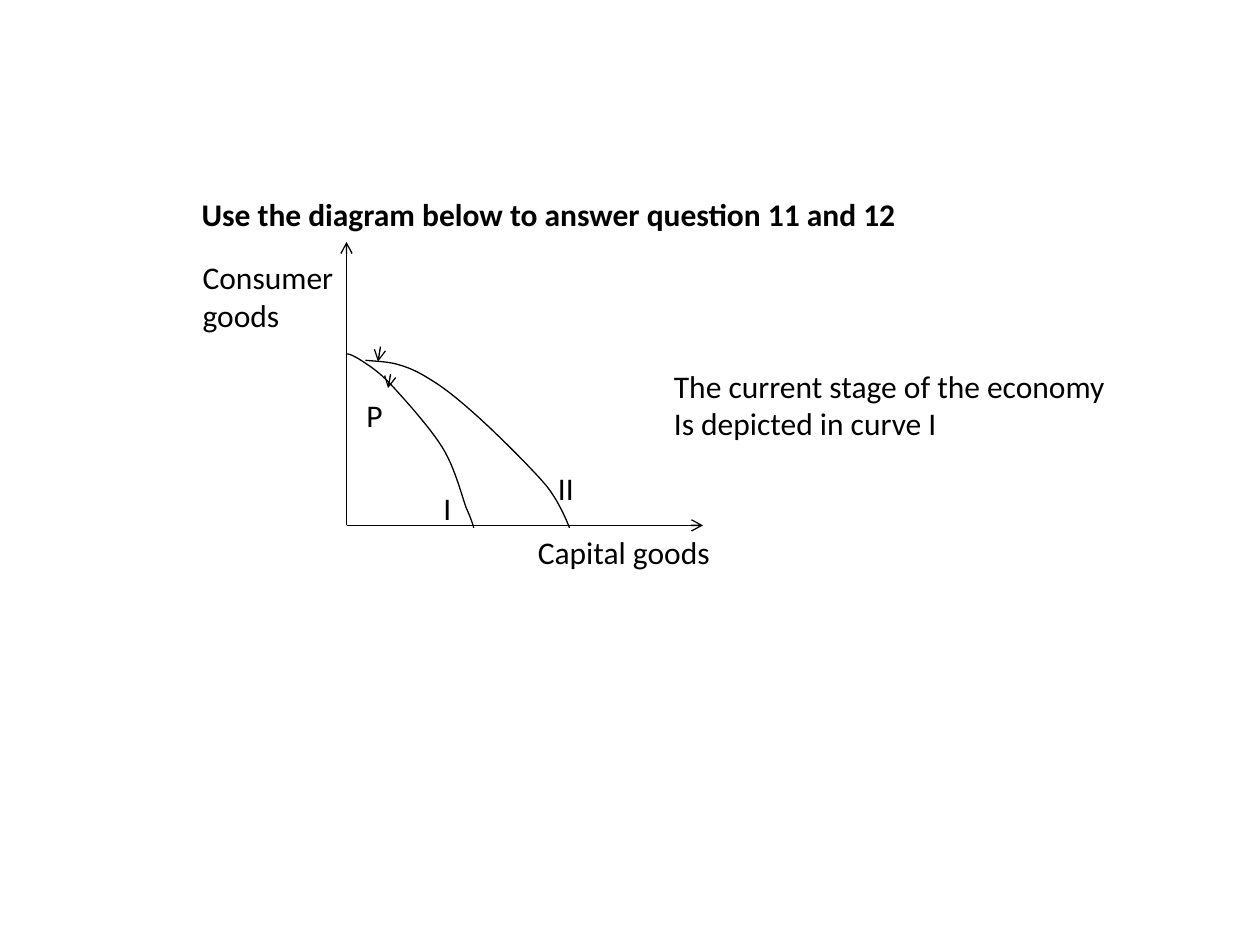
from typing import NamedTuple

from lxml.etree import SubElement
from pptx import Presentation
from pptx.dml.color import RGBColor
from pptx.enum.shapes import MSO_CONNECTOR as Connector
from pptx.enum.text import MSO_ANCHOR as Anchor, MSO_AUTO_SIZE as AutoSize, PP_ALIGN as Align
from pptx.oxml.ns import qn
from pptx.util import Inches, Pt

BLACK = RGBColor(0, 0, 0)
LINE_WIDTH = Pt(0.75)
STEPS = 12

Point = tuple[float, float]


class Label(NamedTuple):
    text: str
    left: float
    top: float
    width: float
    height: float = 0.4
    wrap: bool = False


class Arrow(NamedTuple):
    start: Point
    end: Point


class Curve(NamedTuple):
    start: Point
    segments: list[tuple[Point, Point, Point]]


ORIGIN = (2.75, 4.17)
ARROWS = [
    Arrow(ORIGIN, (2.75, 1.92)),
    Arrow(ORIGIN, (5.58, 4.17)),
    Arrow((3.02, 2.75), (3, 2.87)),
    Arrow((3.1, 2.97), (3.08, 3.08)),
]
CURVES = [
    Curve((2.75, 2.81), [
        ((2.77, 2.81), (2.78, 2.81), (2.85, 2.85)),
        ((2.91, 2.89), (3, 2.94), (3.11, 3.06)),
        ((3.22, 3.18), (3.41, 3.39), (3.51, 3.55)),
        ((3.61, 3.71), (3.66, 3.92), (3.7, 4.03)),
        ((3.75, 4.14), (3.76, 4.19), (3.76, 4.19)),
    ]),
    Curve((2.9, 2.86), [
        ((3, 2.87), (3.09, 2.87), (3.18, 2.9)),
        ((3.28, 2.93), (3.35, 2.97), (3.46, 3.04)),
        ((3.58, 3.12), (3.71, 3.23), (3.86, 3.37)),
        ((4, 3.5), (4.23, 3.73), (4.34, 3.86)),
        ((4.45, 4), (4.52, 4.19), (4.52, 4.19)),
    ]),
]
HEADING = Label("Use the diagram below to answer question 11 and 12", 1.5, 1.5, 5.82)
LABELS = [
    Label("I", 3.42, 3.83, 0.27),
    Label("P", 2.81, 3.09, 0.33),
    Label("II", 4.33, 3.67, 0.33),
    Label("Capital goods", 4.17, 4.18, 1.62, wrap=True),
    Label("Consumer goods", 1.51, 2, 1.32, 0.71, wrap=True),
    Label("The current stage of the economy\nIs depicted in curve I", 5.25, 2.86, 3.72, 0.71),
]


def write_text(box, text: str, *, wrap: bool = False, bold: bool = False) -> None:
    frame = box.text_frame
    frame.text = text
    frame.word_wrap = wrap
    frame.auto_size = AutoSize.SHAPE_TO_FIT_TEXT
    frame.vertical_anchor = Anchor.TOP
    for para in frame.paragraphs:
        para.alignment = Align.LEFT
        for span in para.runs:
            span.font.name = "Calibri"
            span.font.size = Pt(18)
            span.font.bold = bold
            span.font.color.rgb = BLACK


def add_heading(slide, label: Label) -> None:
    title = slide.shapes.title
    title.left, title.top = Inches(label.left), Inches(label.top)
    title.width, title.height = Inches(label.width), Inches(label.height)
    write_text(title, label.text, bold=True)


def add_label(slide, label: Label) -> None:
    box = slide.shapes.add_textbox(
        Inches(label.left), Inches(label.top), Inches(label.width), Inches(label.height)
    )
    write_text(box, label.text, wrap=label.wrap)


def style_line(line) -> None:
    line.color.rgb = BLACK
    line.width = LINE_WIDTH


def add_arrow(slide, arrow: Arrow) -> None:
    ends = [Inches(value) for value in (*arrow.start, *arrow.end)]
    connector = slide.shapes.add_connector(Connector.STRAIGHT, *ends)
    style_line(connector.line)
    properties = connector._element.spPr
    SubElement(properties.find(qn("a:ln")), qn("a:tailEnd"), type="arrow")
    SubElement(properties, qn("a:effectLst"))


def bezier_point(points: tuple[Point, ...], t: float) -> Point:
    weights = ((1 - t) ** 3, 3 * t * (1 - t) ** 2, 3 * t**2 * (1 - t), t**3)
    x, y = (sum(w * p[axis] for w, p in zip(weights, points)) for axis in (0, 1))
    return x, y


def add_curve(slide, curve: Curve) -> None:
    vertices = []
    start = curve.start
    for segment in curve.segments:
        vertices += [bezier_point((start, *segment), step / STEPS) for step in range(1, STEPS + 1)]
        start = segment[-1]
    builder = slide.shapes.build_freeform(Inches(curve.start[0]), Inches(curve.start[1]))
    builder.add_line_segments([(Inches(x), Inches(y)) for x, y in vertices], close=False)
    shape = builder.convert_to_shape()
    shape.shadow.inherit = False
    shape.fill.background()
    style_line(shape.line)


def main() -> None:
    deck = Presentation()
    deck.slide_width, deck.slide_height = Inches(10), Inches(7.5)
    slide = deck.slides.add_slide(deck.slide_layouts[5])
    add_heading(slide, HEADING)
    for arrow in ARROWS:
        add_arrow(slide, arrow)
    for curve in CURVES:
        add_curve(slide, curve)
    for label in LABELS:
        add_label(slide, label)
    deck.save("out.pptx")


if __name__ == "__main__":
    main()
